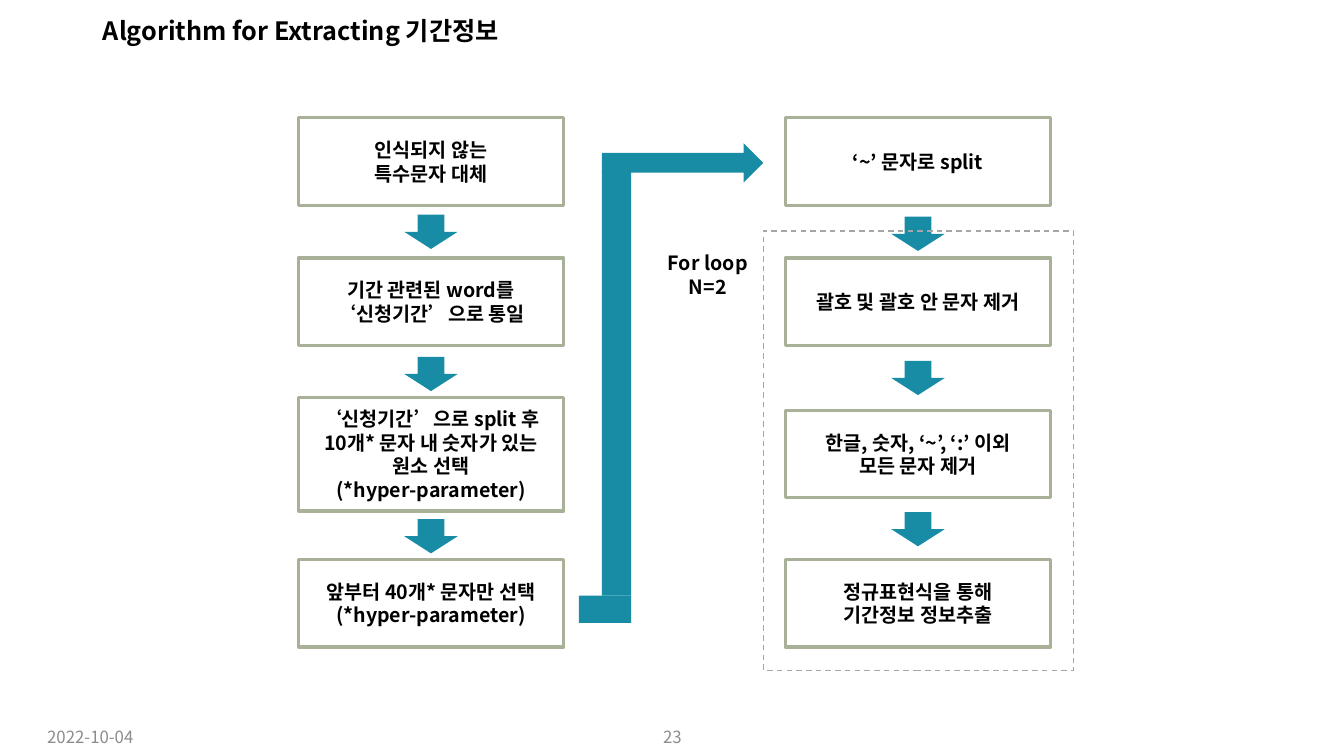
from lxml import etree
from pptx import Presentation
from pptx import util as u
from pptx.dml.color import RGBColor
from pptx.enum import dml, shapes, text
from pptx.oxml.ns import qn

FONT = "Noto Sans CJK KR"
COLORS = {"ink": "000000", "footer": "8C8C8C", "arrow": "178CA4",
          "border": "A9B098", "loop": "A6A6A6"}
COLUMNS = {"prepare": 2.96, "extract": 7.79}
ROWS = [1.17, 2.56, 3.94, 5.55]
BOX_WIDTH, BOX_HEIGHT = 2.63, 0.87
ARROW_WIDTH, ARROW_HEIGHT = 0.53, 0.34

PREPARE_STEPS = [
    (ROWS[0], BOX_HEIGHT, "인식되지 않는\n특수문자 대체"),
    (ROWS[1], BOX_HEIGHT, "기간 관련된 word를\n‘신청기간’으로 통일"),
    (ROWS[2], 1.13, "‘신청기간’으로 split 후\n10개* 문자 내 숫자가 있는 원소 선택\n(*hyper-parameter)"),
    (ROWS[3], BOX_HEIGHT, "앞부터 40개* 문자만 선택\n(*hyper-parameter)"),
]
EXTRACT_STEPS = [
    (ROWS[0], BOX_HEIGHT, "‘~’ 문자로\u00a0split"),
    (ROWS[1], BOX_HEIGHT, "괄호 및 괄호 안 문자 제거"),
    (4.07, BOX_HEIGHT, "한글, 숫자, ‘~’, ‘:’ 이외\n모든 문자 제거"),
    (ROWS[3], BOX_HEIGHT, "정규표현식을 통해\n기간정보 정보추출"),
]
PREPARE_ARROWS = [2.13, 3.54, 5.15]
EXTRACT_ARROWS = [2.15, 3.58, 5.08]


def color(name):
    return RGBColor.from_string(COLORS[name])


def inches(*lengths):
    return [u.Inches(length) for length in lengths]


def write(shape, content, size=14, ink="ink", bold=True,
          align=text.PP_ALIGN.CENTER, anchor=text.MSO_ANCHOR.MIDDLE):
    frame = shape.text_frame
    frame.text = content
    frame.word_wrap = True
    frame.vertical_anchor = anchor
    for paragraph in frame.paragraphs:
        paragraph.alignment = align
        for run in paragraph.runs:
            run.font.name = FONT
            run.font.size = u.Pt(size)
            run.font.bold = bold
            run.font.color.rgb = color(ink)
            east_asian = etree.Element(qn("a:ea"), typeface=FONT)
            run.font._element.find(qn("a:latin")).addnext(east_asian)


def add_label(slide, position, content, **style):
    write(slide.shapes.add_textbox(*inches(*position)), content, **style)


def add_outline(slide, position, line, width, dash=None):
    shape = slide.shapes.add_shape(shapes.MSO_SHAPE.RECTANGLE, *inches(*position))
    shape.shadow.inherit = False
    shape.fill.background()
    shape.line.color.rgb = color(line)
    shape.line.width = u.Pt(width)
    if dash:
        shape.line.dash_style = dash
    return shape


def add_solid(owner, kind, position):
    shape = owner.shapes.add_shape(kind, *inches(*position))
    shape.shadow.inherit = False
    shape.fill.solid()
    shape.fill.fore_color.rgb = color("arrow")
    shape.line.fill.background()


def add_flow(slide, left, steps, arrow_tops):
    for top, height, content in steps:
        write(add_outline(slide, (left, top, BOX_WIDTH, height), "border", 2.25), content)
    arrow_left = left + (BOX_WIDTH - ARROW_WIDTH) / 2
    for top in arrow_tops:
        add_solid(slide, shapes.MSO_SHAPE.DOWN_ARROW,
                  (arrow_left, top, ARROW_WIDTH, ARROW_HEIGHT))


def add_bent_arrow(slide):
    group = slide.shapes.add_group_shape()
    add_solid(group, shapes.MSO_SHAPE.RECTANGLE, (5.97, 1.7, 0.29, 4.21))
    add_solid(group, shapes.MSO_SHAPE.RECTANGLE, (5.74, 5.91, 0.52, 0.27))
    add_solid(group, shapes.MSO_SHAPE.RIGHT_ARROW, (5.97, 1.42, 1.6, 0.39))


def add_title(slide, content):
    title = slide.shapes.title
    title.left, title.top, title.width, title.height = inches(0.92, 0.17, 11.5, 0.3)
    write(title, content, size=18, align=text.PP_ALIGN.LEFT)
    title.text_frame.paragraphs[0].line_spacing = 0.9


def main():
    presentation = Presentation()
    presentation.slide_width, presentation.slide_height = inches(13.33, 7.5)
    slide = presentation.slides.add_slide(presentation.slide_layouts[5])

    add_title(slide, "Algorithm for Extracting 기간정보")
    add_flow(slide, COLUMNS["prepare"], PREPARE_STEPS, PREPARE_ARROWS)
    add_bent_arrow(slide)
    add_flow(slide, COLUMNS["extract"], EXTRACT_STEPS, EXTRACT_ARROWS)
    add_outline(slide, (7.57, 2.29, 3.08, 4.36), "loop", 1, dml.MSO_LINE.DASH)
    add_label(slide, (6.48, 2.44, 1.08, 0.57), "For loop\nN=2",
              anchor=text.MSO_ANCHOR.TOP)
    add_label(slide, (0.37, 7.11, 3, 0.4), "2022-10-04", size=12, ink="footer",
              bold=False, align=text.PP_ALIGN.LEFT)
    add_label(slide, (5.17, 7.11, 3, 0.4), "23", size=12, ink="footer", bold=False)

    presentation.save("out.pptx")


if __name__ == "__main__":
    main()
